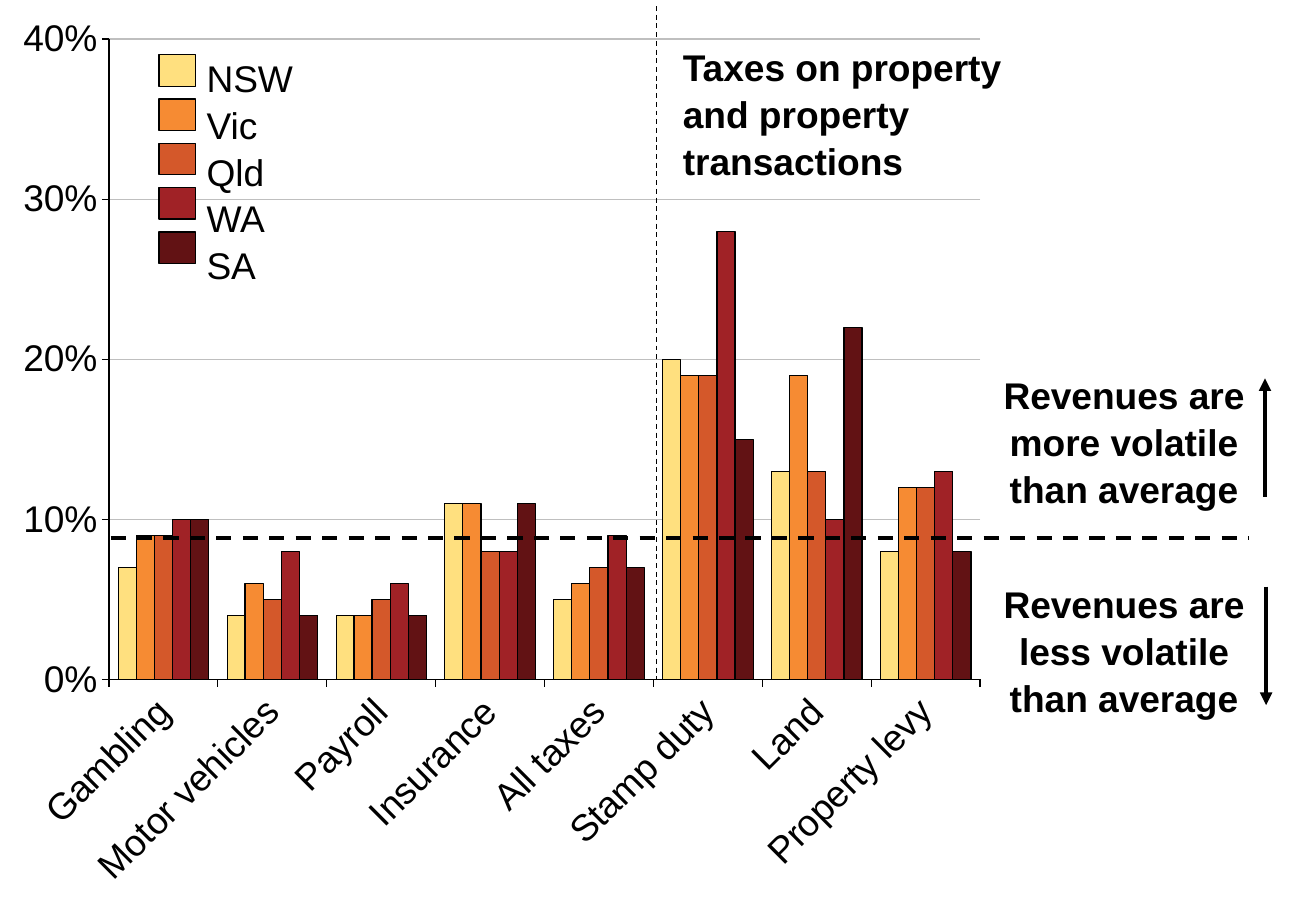
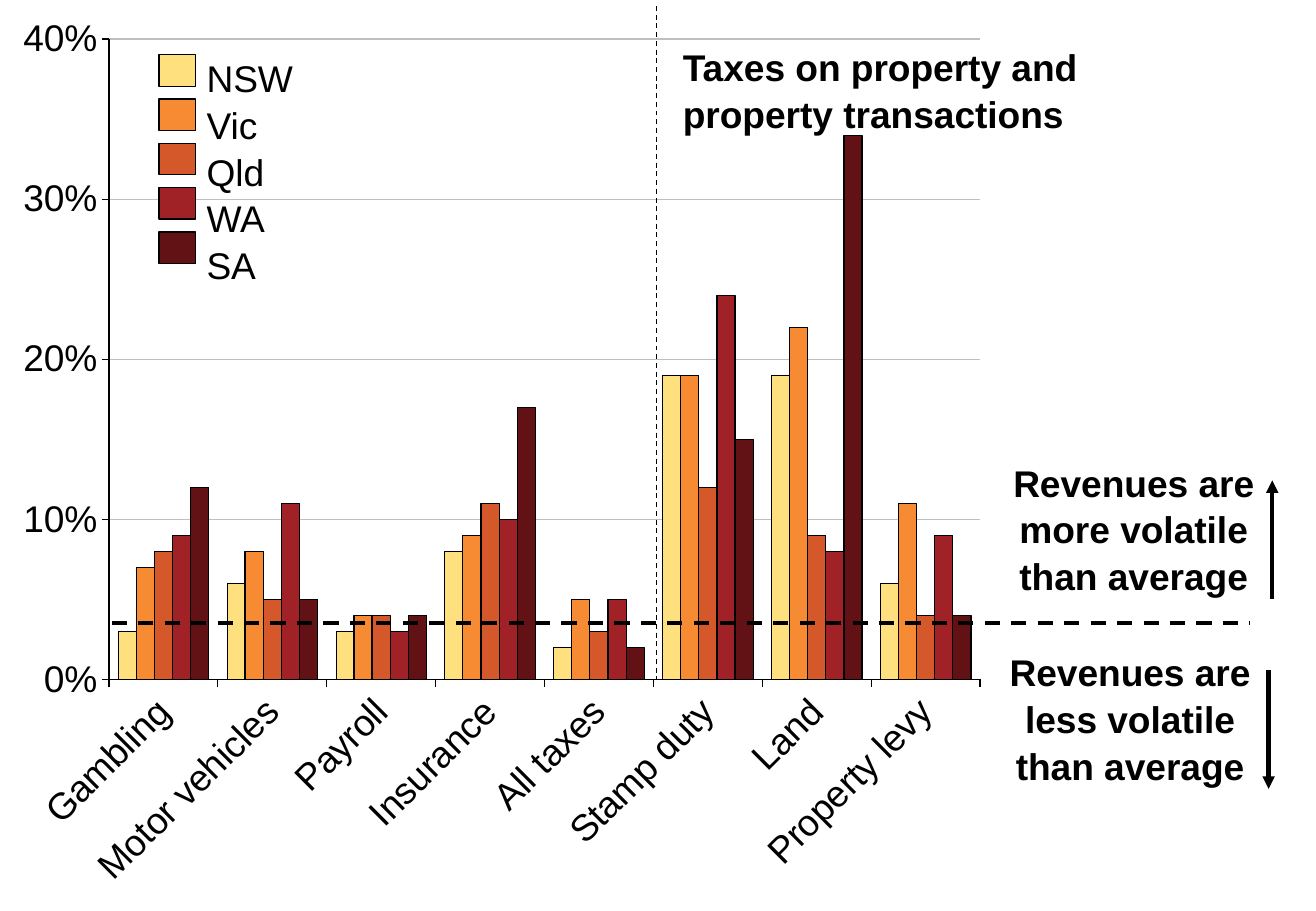
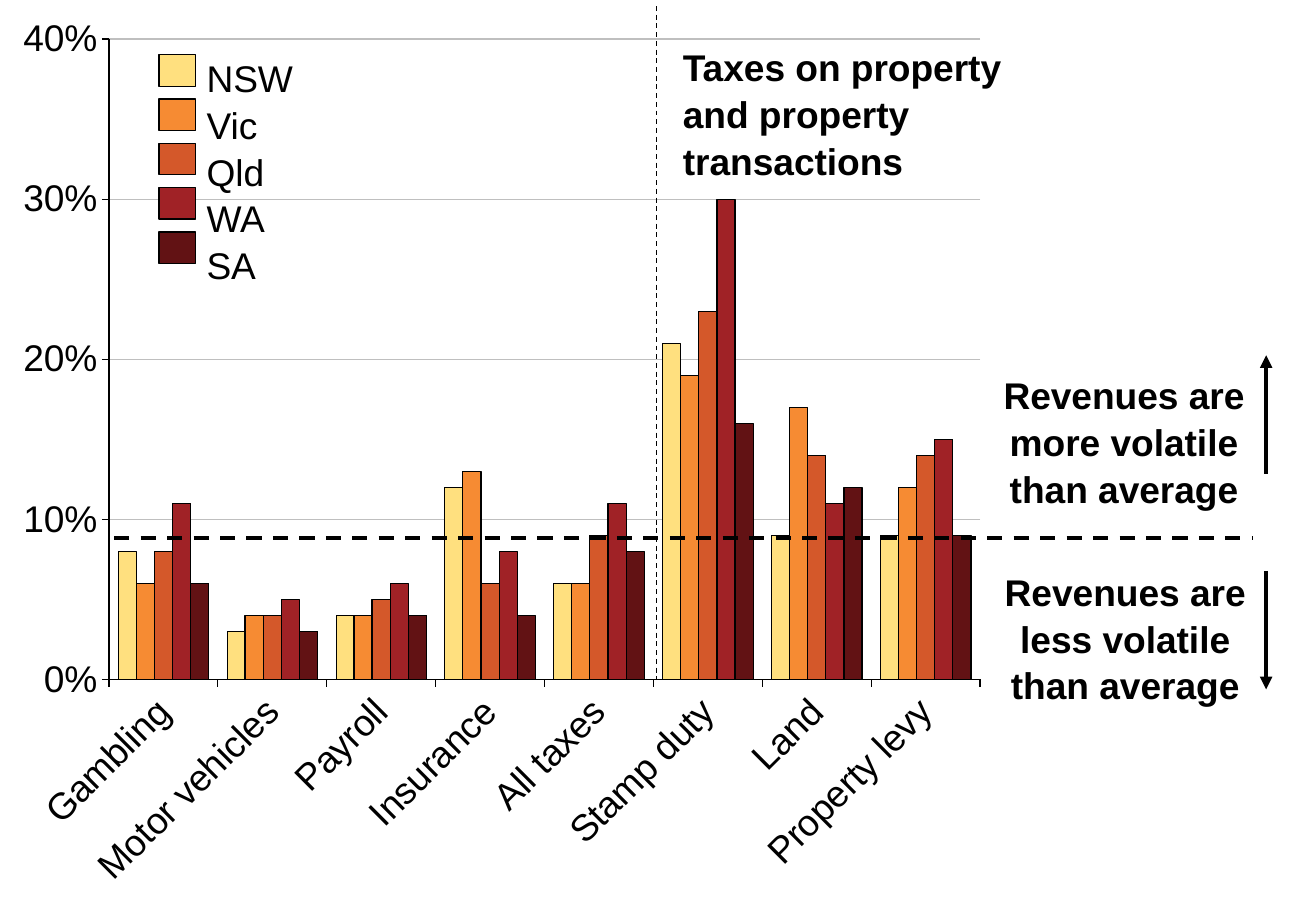
import pptx
import pptx.util
import pptx.chart.data
import pptx.dml.color
import pptx.enum.chart
import pptx.enum.dml
import pptx.enum.shapes
import pptx.enum.text
import pptx.oxml.ns
import pptx.oxml.xmlchemy

Inches = pptx.util.Inches
Pt = pptx.util.Pt
qn = pptx.oxml.ns.qn
make = pptx.oxml.xmlchemy.OxmlElement

COLORS = {
    "ink": "000000", "grid": "BFBFBF",
    "NSW": "FFE07F", "Vic": "F68B33", "Qld": "D4582A", "WA": "A02226", "SA": "621214",
}
STATES = ["NSW", "Vic", "Qld", "WA", "SA"]
TAXES = ["Gambling", "Motor vehicles", "Payroll", "Insurance",
         "All taxes", "Stamp duty", "Land", "Property levy"]
FONT = "Arial"
SIZE = 22
PLOT = {"x": 0.08, "y": 0.043, "w": 0.662, "h": 0.703}
ARROW = 0.975
NOTE = (2.32, 1.21)

SLIDES = [
    {
        "values": [
            [0.07, 0.04, 0.04, 0.11, 0.05, 0.2, 0.13, 0.08],
            [0.09, 0.06, 0.04, 0.11, 0.06, 0.19, 0.19, 0.12],
            [0.09, 0.05, 0.05, 0.08, 0.07, 0.19, 0.13, 0.12],
            [0.1, 0.08, 0.06, 0.08, 0.09, 0.28, 0.1, 0.13],
            [0.1, 0.04, 0.04, 0.11, 0.07, 0.15, 0.22, 0.08],
        ],
        "head": (2.94, 1.11), "mean": (0.91, 4.43),
        "more": (8.09, 3), "up": (10.41, 4.09),
        "less": (8.09, 4.72), "down": (10.42, 4.83),
    },
    {
        "values": [
            [0.03, 0.06, 0.03, 0.08, 0.02, 0.19, 0.19, 0.06],
            [0.07, 0.08, 0.04, 0.09, 0.05, 0.19, 0.22, 0.11],
            [0.08, 0.05, 0.04, 0.11, 0.03, 0.12, 0.09, 0.04],
            [0.09, 0.11, 0.03, 0.1, 0.05, 0.24, 0.08, 0.09],
            [0.12, 0.05, 0.04, 0.17, 0.02, 0.15, 0.34, 0.04],
        ],
        "head": (3.43, 0.74), "mean": (0.92, 5.13),
        "more": (8.17, 3.72), "up": (10.47, 4.93),
        "less": (8.14, 5.28), "down": (10.44, 5.52),
    },
    {
        "values": [
            [0.08, 0.03, 0.04, 0.12, 0.06, 0.21, 0.09, 0.09],
            [0.06, 0.04, 0.04, 0.13, 0.06, 0.19, 0.17, 0.12],
            [0.08, 0.04, 0.05, 0.06, 0.09, 0.23, 0.14, 0.14],
            [0.11, 0.05, 0.06, 0.08, 0.11, 0.3, 0.11, 0.15],
            [0.06, 0.03, 0.04, 0.04, 0.08, 0.16, 0.12, 0.09],
        ],
        "head": (2.94, 1.11), "mean": (0.94, 4.43),
        "more": (8.09, 3), "up": (10.42, 3.9),
        "less": (8.1, 4.62), "down": (10.42, 4.7),
    },
]


def tint(name):
    return pptx.dml.color.RGBColor.from_string(COLORS[name])


def pen(line, name="ink", width=0.75):
    line.color.rgb = tint(name)
    line.width = Pt(width)


def style(font, bold=False):
    font.name = FONT
    font.size = Pt(SIZE)
    font.bold = bold
    font.color.rgb = tint("ink")


def add_text(slide, text, box, bold=False, center=False, inset=True):
    frame = slide.shapes.add_textbox(*map(Inches, box)).text_frame
    frame.word_wrap = True
    if not inset:
        frame.margin_left = frame.margin_right = 0
        frame.margin_top = frame.margin_bottom = 0
    frame.text = text
    align = pptx.enum.text.PP_ALIGN
    for para in frame.paragraphs:
        para.alignment = align.CENTER if center else align.LEFT
        para.line_spacing = 1.05
        style(para.runs[0].font, bold)


def add_line(slide, start, end, width, dash=False, arrow=False):
    kind = pptx.enum.shapes.MSO_CONNECTOR.STRAIGHT
    link = slide.shapes.add_connector(kind, *map(Inches, start + end))
    pen(link.line, width=width)
    if dash:
        link.line.dash_style = pptx.enum.dml.MSO_LINE.DASH
    if arrow:
        tip = make("a:tailEnd")
        tip.set("type", "triangle")
        link.line._get_or_add_ln().append(tip)
    link._element.spPr.append(make("a:effectLst"))


def set_plot(chart):
    area = chart._chartSpace.chart.plotArea
    for old in area.findall(qn("c:layout")):
        area.remove(old)
    layout = make("c:layout")
    manual = make("c:manualLayout")
    layout.append(manual)
    parts = {"layoutTarget": "inner", "xMode": "edge", "yMode": "edge", **PLOT}
    for tag, value in parts.items():
        item = make("c:" + tag)
        item.set("val", str(value))
        manual.append(item)
    area.insert(0, layout)


def set_axes(chart):
    enums = pptx.enum.chart
    for axis in (chart.category_axis, chart.value_axis):
        axis.major_tick_mark = enums.XL_TICK_MARK.OUTSIDE
        axis.minor_tick_mark = enums.XL_TICK_MARK.NONE
        style(axis.tick_labels.font)
        pen(axis.format.line)
    cats, vals = chart.category_axis, chart.value_axis
    cats.tick_label_position = enums.XL_TICK_LABEL_POSITION.LOW
    cats._element.find(qn("c:txPr")).find(qn("a:bodyPr")).set("rot", "-2700000")
    vals.minimum_scale, vals.maximum_scale, vals.major_unit = 0, 0.4, 0.1
    vals.tick_labels.number_format = "0%"
    vals.tick_labels.number_format_is_linked = False
    vals.has_major_gridlines = True
    pen(vals.major_gridlines.format.line, "grid")


def add_bars(slide, values, box):
    data = pptx.chart.data.CategoryChartData(number_format="0%")
    data.categories = TAXES
    for state, row in zip(STATES, values):
        data.add_series(state, row)
    kind = pptx.enum.chart.XL_CHART_TYPE.COLUMN_CLUSTERED
    chart = slide.shapes.add_chart(kind, *map(Inches, box), data).chart
    chart.has_title = chart.has_legend = False
    style(chart.font)
    chart.font.size = Pt(18)
    plot = chart.plots[0]
    plot.gap_width, plot.overlap = 100, 0
    plot.vary_by_categories = False
    for state, series in zip(STATES, plot.series):
        series.invert_if_negative = False
        series.format.fill.solid()
        series.format.fill.fore_color.rgb = tint(state)
        pen(series.format.line, width=0.25 if state == "NSW" else 0.75)
    set_axes(chart)
    set_plot(chart)


def add_key(slide, box):
    left, top, width, height = box
    step = 0.365
    kind = pptx.enum.shapes.MSO_SHAPE.RECTANGLE
    for row, state in enumerate(STATES):
        place = (left, top + row * step, 0.3, 0.26)
        swatch = slide.shapes.add_shape(kind, *map(Inches, place))
        swatch.shadow.inherit = False
        swatch.fill.solid()
        swatch.fill.fore_color.rgb = tint(state)
        pen(swatch.line)
    names = (left + 0.39, top - 0.01, width - 0.39, height)
    add_text(slide, "\n".join(STATES), names, inset=False)


def add_notes(slide, page):
    left, level = page["mean"]
    add_line(slide, (left, level), (left + 9.37, level), 2.25, dash=True)
    for word, arrow, sign in (("more", "up", -1), ("less", "down", 1)):
        text = f"Revenues are {word} volatile than average"
        add_text(slide, text, page[word] + NOTE, bold=True, center=True)
        x, y = page[arrow]
        add_line(slide, (x, y), (x, y + sign * ARROW), 2.5, arrow=True)


def add_page(deck, page):
    slide = deck.slides.add_slide(deck.slide_layouts[6])
    add_bars(slide, page["values"], (0.03, 0, 10.83, 7.5))
    add_key(slide, (1.31, 0.45, 1.23, 1.85))
    add_line(slide, (5.4, 0.05), (5.4, 5.59), 0.75, dash=True)
    add_text(slide, "Taxes on property and property transactions",
             (5.62, 0.35) + page["head"], bold=True, inset=False)
    add_notes(slide, page)


def main():
    deck = pptx.Presentation()
    deck.slide_width, deck.slide_height = Inches(10.83), Inches(7.5)
    for page in SLIDES:
        add_page(deck, page)
    deck.save("out.pptx")


if __name__ == "__main__":
    main()
